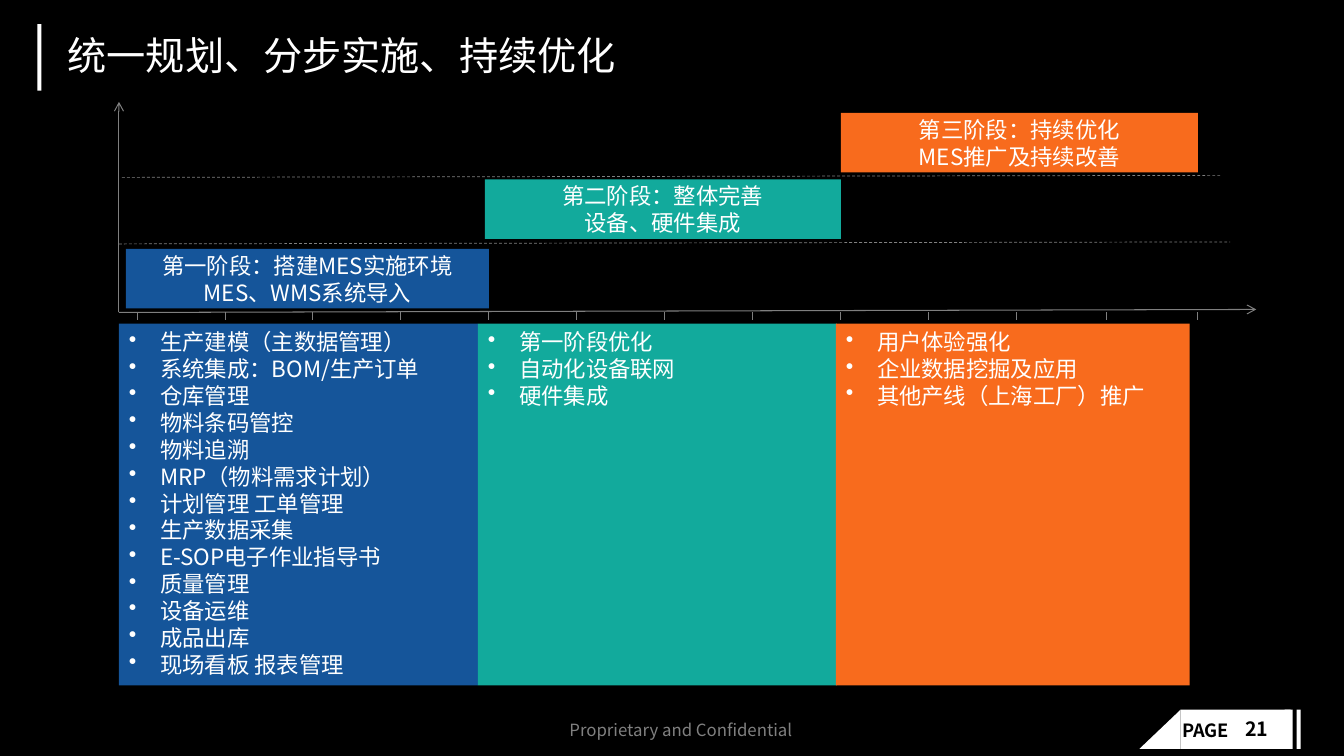
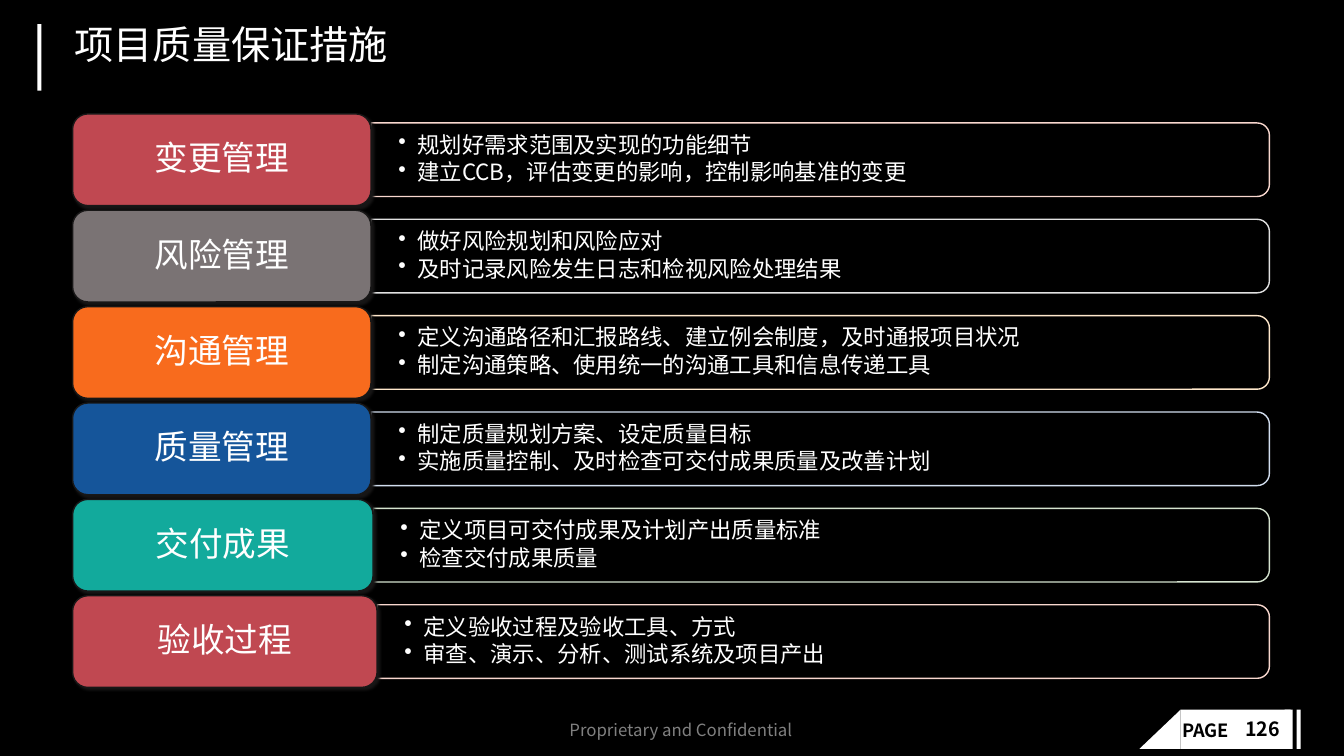
from dataclasses import dataclass

from lxml import etree
from pptx import Presentation, util as u
from pptx.dml.color import RGBColor
from pptx.enum import dml, shapes, text
from pptx.oxml.ns import qn

Inches, Pt = u.Inches, u.Pt
SHAPE = shapes.MSO_SHAPE
MIDDLE, TOP = text.MSO_ANCHOR.MIDDLE, text.MSO_ANCHOR.TOP
CENTER, LEFT = text.PP_ALIGN.CENTER, text.PP_ALIGN.LEFT


@dataclass(frozen=True)
class Theme:
    font: str = "Noto Sans CJK SC"
    black: str = "000000"
    white: str = "FFFFFF"
    blue: str = "15559A"
    teal: str = "12AA9C"
    orange: str = "F86B1D"
    red: str = "C04851"
    gray: str = "7A7374"
    axis: str = "7F7F7F"
    muted: str = "808080"
    shade: str = "181717"
    title: int = 28
    label: int = 24
    body: int = 16
    number: int = 14
    page: int = 13
    footer: int = 12


T = Theme()


def add_block(s, kind, at, fill=None, line=None):
    sp = s.shapes.add_shape(kind, *map(Inches, at))
    sp.shadow.inherit = False
    if fill:
        sp.fill.solid()
        sp.fill.fore_color.rgb = RGBColor.from_string(fill)
    else:
        sp.fill.background()
    if line:
        sp.line.color.rgb = RGBColor.from_string(line)
        sp.line.width = Pt(1)
    else:
        sp.line.fill.background()
    return sp


def write(sp, lines, size, color=T.white, bold=False, indent=0, frame=None, para=None):
    """Fill a shape with paragraphs; indent is the bullet's hanging indent in inches."""
    tf = sp.text_frame
    for name, value in {"word_wrap": True, **(frame or {})}.items():
        setattr(tf, name, value)
    tf.text = "\n".join(lines)
    for p in tf.paragraphs:
        for name, value in {"alignment": LEFT, **(para or {})}.items():
            setattr(p, name, value)
        for r in p.runs:
            for name, value in {"size": Pt(size), "bold": bold, "name": T.font}.items():
                setattr(r.font, name, value)
            r.font.color.rgb = RGBColor.from_string(color)
    for rPr in sp.element.iter(qn("a:rPr")):
        etree.SubElement(rPr, qn("a:ea"), typeface=T.font)
    if indent:
        for p in sp.element.iter(qn("a:p")):
            pPr = p.get_or_add_pPr()
            pPr.set("marL", str(Inches(indent)))
            pPr.set("indent", str(-Inches(indent)))
            etree.SubElement(pPr, qn("a:buChar"), char="•")


prs = Presentation()
prs.slide_width, prs.slide_height = Inches(13.33), Inches(7.5)
bg = prs.slide_master.background.fill
bg.solid()
bg.fore_color.rgb = RGBColor.from_string(T.black)

layout = prs.slide_layouts.get_by_name("Title Only")
for ph in list(layout.placeholders):
    if ph.placeholder_format.idx:
        layout.shapes.element.remove(ph.element)

# Slides with title and page number
pages = [
    ("统一规划、分步实施、持续优化", "21", 0.57, MIDDLE, 0),
    ("项目质量保证措施", "126", 0.64, TOP, 0.05),
]
slides = []
for title, number, left, anchor, bottom in pages:
    s = prs.slides.add_slide(layout)
    sp = s.shapes.title
    sp.left, sp.top, sp.width, sp.height = map(Inches, (left, 0.2, 12.32, 0.7))
    write(sp, [title], T.title, para={"line_spacing": 0.9},
          frame={"vertical_anchor": anchor, "auto_size": text.MSO_AUTO_SIZE.NONE,
                 "margin_left": Inches(0.1), "margin_right": Inches(0.12),
                 "margin_top": Inches(0.05), "margin_bottom": Inches(bottom)})
    slides.append(s)
roadmap, quality = slides

# Shared decoration: drawn once, then moved to the layout
decor = [
    add_block(roadmap, kind, at, T.white)
    for kind, at in [
        (SHAPE.RECTANGLE, (11.71, 7.04, 1.09, 0.39)),
        (SHAPE.RIGHT_TRIANGLE, (11.3, 7.04, 0.41, 0.39)),
        (SHAPE.RECTANGLE, (12.74, 7.04, 0.08, 0.39)),
        (SHAPE.RECTANGLE, (12.86, 7.04, 0.04, 0.39)),
        (SHAPE.RECTANGLE, (0.37, 0.24, 0.04, 0.66)),
    ]
]
decor[1].element.spPr.find(qn("a:xfrm")).set("flipH", "1")
for words, at, size, color, bold in [
    ("PAGE", (11.63, 7.09, 0.73, 0.32), T.page, T.black, True),
    ("Proprietary and Confidential", (5.55, 7.09, 2.56, 0.3), T.footer, T.muted, False),
]:
    sp = roadmap.shapes.add_textbox(*map(Inches, at))
    write(sp, [words], size, color, bold, frame={"word_wrap": False})
    decor.append(sp)
for sp in decor:
    layout.shapes.element.append(sp.element)

for s, page in zip(slides, pages):
    sp = s.shapes.add_textbox(*map(Inches, (12.25, 7.09, 0.58, 0.32)))
    write(sp, [page[1]], T.number, T.black, True, para={"line_spacing": 0.9})

# Slide 1: three stages on a time axis
s = roadmap
axis_y = 3.1
ticks = [1.36 + (10.08 - 1.36) / 10 * i for i in range(11)] + [10.97, 11.88]
lines = [
    (1.18, axis_y, 1.18, 1.01, "arrow"),
    (1.18, axis_y, 12.46, 3.07, "arrow"),
    (1.21, 1.76, 12.11, 1.74, "dash"),
    (1.18, 2.42, 12.2, 2.4, "dash"),
] + [(x, axis_y, x, 3.17, "tick") for x in ticks]
for *ends, style in lines:
    c = s.shapes.add_connector(shapes.MSO_CONNECTOR.STRAIGHT, *map(Inches, ends))
    dashed = style == "dash"
    c.line.color.rgb = RGBColor.from_string(T.muted if dashed else T.axis)
    c.line.width = Pt(0.5 if dashed else 0.75)
    if dashed:
        c.line.dash_style = dml.MSO_LINE.DASH
    if style == "arrow":
        etree.SubElement(c.element.spPr.find(qn("a:ln")), qn("a:tailEnd"), type="arrow")
    etree.SubElement(c.element.spPr, qn("a:effectLst"))

stages = [
    (T.blue, (1.25, 2.47, 3.6, 0.59), ["第一阶段：搭建MES实施环境", "MES、WMS系统导入"],
     (1.18, 3.21, 3.56, 3.59),
     ["生产建模（主数据管理）", "系统集成：BOM/生产订单", "仓库管理", "物料条码管控",
      "物料追溯", "MRP（物料需求计划）", "计划管理 工单管理", "生产数据采集",
      "E-SOP电子作业指导书", "质量管理", "设备运维", "成品出库", "现场看板 报表管理"]),
    (T.teal, (4.81, 1.78, 3.53, 0.59), ["第二阶段：整体完善", "设备、硬件集成"],
     (4.74, 3.21, 3.56, 3.59),
     ["第一阶段优化", "自动化设备联网", "硬件集成"]),
    (T.orange, (8.34, 1.12, 3.54, 0.59), ["第三阶段：持续优化", "MES推广及持续改善"],
     (8.29, 3.21, 3.51, 3.59),
     ["用户体验强化", "企业数据挖掘及应用", "其他产线（上海工厂）推广"]),
]
for color, head_at, heading, list_at, items in stages:
    sp = add_block(s, SHAPE.RECTANGLE, list_at, color)
    write(sp, items, T.body, indent=0.31, frame={"vertical_anchor": TOP})
    sp = add_block(s, SHAPE.RECTANGLE, head_at, color)
    write(sp, heading, T.body, frame={"vertical_anchor": MIDDLE}, para={"alignment": CENTER})

# Slide 2: one row per quality measure
s = quality
measures = [
    ("变更管理", T.red, "F8D7CE", 2.96,
     ["规划好需求范围及实现的功能细节", "建立CCB，评估变更的影响，控制影响基准的变更"]),
    ("风险管理", T.gray, "E1E1E1", 2.96,
     ["做好风险规划和风险应对", "及时记录风险发生日志和检视风险处理结果"]),
    ("沟通管理", T.orange, "FFE8CC", 2.96,
     ["定义沟通路径和汇报路线、建立例会制度，及时通报项目状况",
      "制定沟通策略、使用统一的沟通工具和信息传递工具"]),
    ("质量管理", T.blue, "D2DEEF", 2.96,
     ["制定质量规划方案、设定质量目标", "实施质量控制、及时检查可交付成果质量及改善计划"]),
    ("交付成果", T.teal, "D5E3CF", 2.98,
     ["定义项目可交付成果及计划产出质量标准", "检查交付成果质量"]),
    ("验收过程", T.red, "F8D7CE", 3.02,
     ["定义验收过程及验收工具、方式", "审查、演示、分析、测试系统及项目产出"]),
]
left, right, first_top, last_top = 0.72, 12.59, 1.13, 5.91
label_h, frame_h, text_h = 0.91, 0.73, 0.66
pitch = (last_top - first_top) / (len(measures) - 1)
for i, (name, color, outline, label_w, items) in enumerate(measures):
    top = first_top + i * pitch
    mid = top + label_h / 2
    x = left + label_w
    length = right - x
    # Turned a quarter so that the rounded corners face right
    sp = add_block(s, SHAPE.ROUND_2_SAME_RECTANGLE,
                   ((x + right - frame_h) / 2, mid - length / 2, frame_h, length), line=outline)
    sp.rotation = 90

    sp = s.shapes.add_textbox(*map(Inches, (x, mid - text_h / 2, length, text_h)))
    write(sp, items, T.body, indent=0.19, para={"line_spacing": 0.9, "space_after": Pt(2.4)},
          frame={"vertical_anchor": MIDDLE, "margin_left": Inches(0.27),
                 "margin_right": Inches(0.27), "margin_top": Inches(0.14),
                 "margin_bottom": Inches(0.14)})

    sp = add_block(s, SHAPE.ROUNDED_RECTANGLE, (left, top, label_w, label_h), color, T.shade)
    write(sp, [name], T.label, frame={"vertical_anchor": MIDDLE},
          para={"alignment": CENTER, "line_spacing": 0.9})
    shadow = etree.SubElement(sp.element.spPr.find(qn("a:effectLst")), qn("a:outerShdw"),
                              blurRad=str(Pt(2)), dist=str(Pt(2)), dir=str(45 * 60000))
    etree.SubElement(shadow, qn("a:srgbClr"), val=T.shade)

prs.save("out.pptx")
